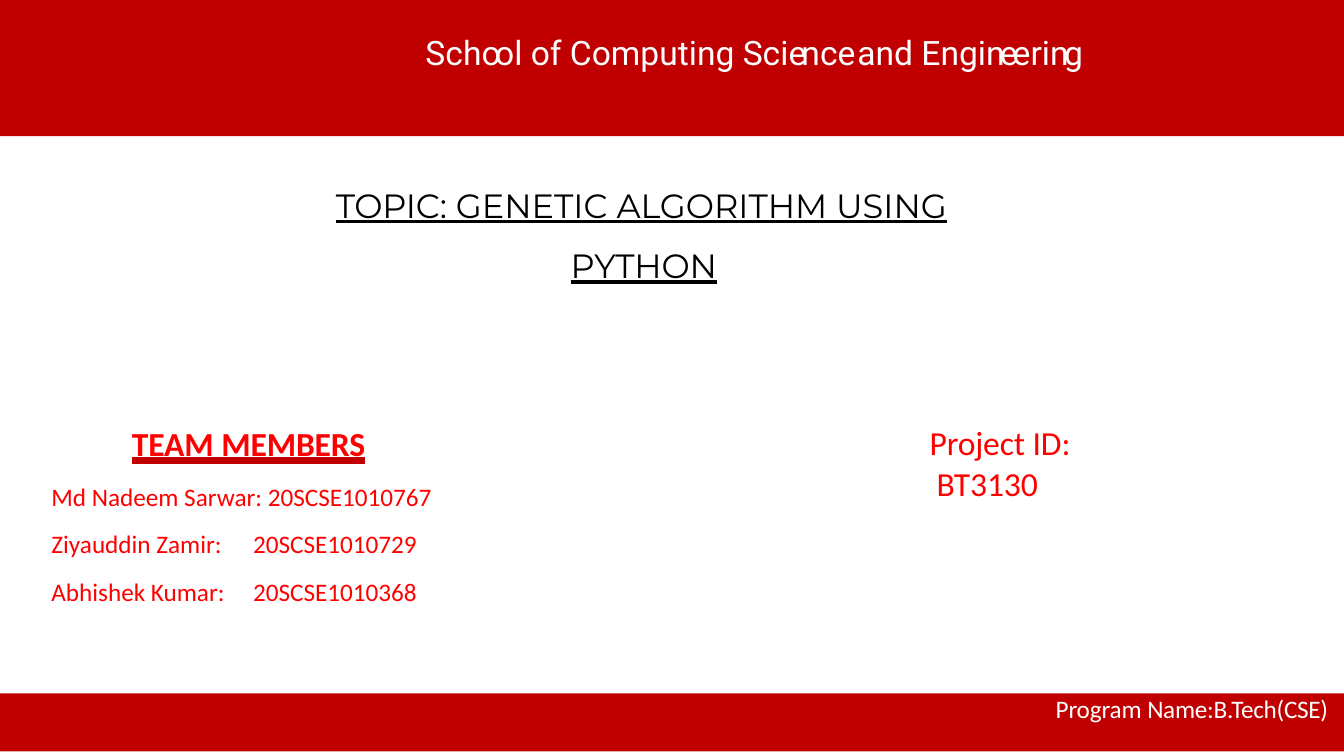
from dataclasses import dataclass

from lxml import etree
from pptx import Presentation
from pptx import util as u
from pptx.dml.color import RGBColor
from pptx.enum import shapes, text
from pptx.oxml.ns import qn


@dataclass(frozen=True)
class Theme:
    band: str = "C00000"
    pale: str = "FFFFFF"
    dark: str = "000000"
    warm: str = "FF0000"
    big: int = 24
    small: int = 18
    head: str = "Roboto"
    topic: str = "Montserrat"
    body: str = "Calibri"


T = Theme()
WIDE, HIGH = u.Inches(13.33), u.Inches(7.5)

SCHOOL = [
    ("S", -4.5), ("c", -3), ("h", -3.5), ("oo", -4), ("l ", 0), ("o", -4), ("f ", 0),
    ("C", -4.8), ("o", -4), ("m", -5.5), ("p", -3.6), ("u", -3.8), ("t", -1.6),
    ("i", -1.2), ("n", -3.3), ("g ", 0),
    ("S", -4.5), ("c", -3), ("i", -1.3), ("en", -3.5), ("c", -3), ("e", 1.3),
    ("a", -3), ("n", -3.3), ("d ", 0),
    ("E", -5.3), ("n", -3.3), ("g", -3.4), ("i", -1.3), ("nee", -3.5), ("r", -2.8),
    ("i", -1.3), ("ng", -3.3),
]
TOPIC = [("TOPIC", -0.2), (": GENETIC ALGORITHM USING ", 0), ("PYTHON", -0.1)]
TEAM = [("TEAM", -0.1), (" ", -0.5), ("MEMBERS", -0.1)]
NAMES = [
    "Md Nadeem Sarwar: 20SCSE1010767",
    "Ziyauddin Zamir:\t20SCSE1010729",
    "Abhishek Kumar:\t20SCSE1010368",
]


def share(x, y, w, h):
    return [int(v * s / 100) for v, s in zip((x, y, w, h), (WIDE, HIGH) * 2)]


def band(slide, top, high):
    bar = slide.shapes.add_shape(shapes.MSO_SHAPE.RECTANGLE, *share(0, top, 100, high))
    bar.shadow.inherit = False
    bar.fill.solid()
    bar.fill.fore_color.rgb = RGBColor.from_string(T.band)
    bar.line.fill.background()


def frame(shape, inset):
    box = shape.text_frame
    box.margin_left = box.margin_right = box.margin_bottom = 0
    box.margin_top = u.Inches(inset)
    box.word_wrap = True
    box.vertical_anchor = text.MSO_ANCHOR.TOP
    box.auto_size = text.MSO_AUTO_SIZE.SHAPE_TO_FIT_TEXT
    return box


def place(slide, shape, area):
    shape.left, shape.top, shape.width, shape.height = share(*area)
    slide.shapes[-1]._element.addnext(shape._element)
    return shape


def label(slide, area, inset=0.01):
    return frame(slide.shapes.add_textbox(*share(*area)), inset)


def para(box, first=False, left=0.01, hang=0, right=0, gap=1, lead=1.0, side="LEFT", tab=None):
    par = box.paragraphs[0] if first else box.add_paragraph()
    par.alignment = getattr(text.PP_ALIGN, side)
    par.line_spacing = lead
    par.space_before = u.Pt(gap)
    prop = par._p.get_or_add_pPr()
    for key, val in (("marL", left), ("indent", hang), ("marR", right)):
        prop.set(key, str(int(u.Inches(val))))
    etree.SubElement(prop, qn("a:buNone"))
    if tab:
        stops = etree.SubElement(prop, qn("a:tabLst"))
        etree.SubElement(stops, qn("a:tab"), pos=str(int(u.Inches(tab))), algn="l")
    return par


def write(par, runs, size, face, color, bold=False, under=False, rule=None):
    for words, space in runs:
        run = par.add_run()
        run.text = words
        font = run.font
        font.size, font.bold = u.Pt(size), bold
        if under:
            font.underline = text.MSO_UNDERLINE.HEAVY_LINE
        font.color.rgb = RGBColor.from_string(color)
        prop = run._r.get_or_add_rPr()
        prop.set("spc", str(round(space * 100)))
        if rule:
            ink = etree.SubElement(etree.SubElement(prop, qn("a:uFill")), qn("a:solidFill"))
            etree.SubElement(ink, qn("a:srgbClr"), val=rule)
        font.name = face


def main():
    deck = Presentation()
    deck.slide_width, deck.slide_height = WIDE, HIGH
    slide = deck.slides.add_slide(deck.slide_layouts[1])
    title, body = slide.shapes.title, slide.placeholders[1]

    band(slide, 0, 18)
    band(slide, 91.73, 7.67)

    head = frame(place(slide, title, (31.28, 4.13, 59.41, 5.73)), 0.01)
    write(para(head, True, left=0.05), SCHOOL, T.big, T.head, T.pale)

    topic = label(slide, (24.91, 21.6, 56.79, 15.73))
    par = para(topic, True, left=2.34, hang=-2.33, right=0.5, lead=1.5)
    write(par, TOPIC, T.big, T.topic, T.dark, under=True)

    foot = label(slide, (78.47, 92.4, 20.93, 3.73), 0)
    par = para(foot, True, gap=0, lead=u.Pt(18.1))
    write(par, [("Program ", -0.1), ("Name:B.Tech(CSE)", -0.2)], T.small, T.body, T.pale)

    team = frame(place(slide, body, (3.75, 52.8, 29.41, 27.33)), 0.24)
    par = para(team, True, gap=17.5, side="CENTER")
    write(par, TEAM, T.big, T.body, T.warm, bold=True, under=True, rule=T.band)
    for name in NAMES:
        par = para(team, gap=1.6, lead=1.5, tab=1.92)
        write(par, [(name, 0)], T.small, T.body, T.warm)

    code = label(slide, (69.09, 55.73, 10.8, 11.07))
    write(para(code, True), [("Project ", -0.1), ("ID:", 0)], T.big, T.body, T.warm)
    write(para(code, left=0.08, gap=0), [("BT3130", -0.1)], T.big, T.body, T.warm)

    deck.save("out.pptx")


if __name__ == "__main__":
    main()
